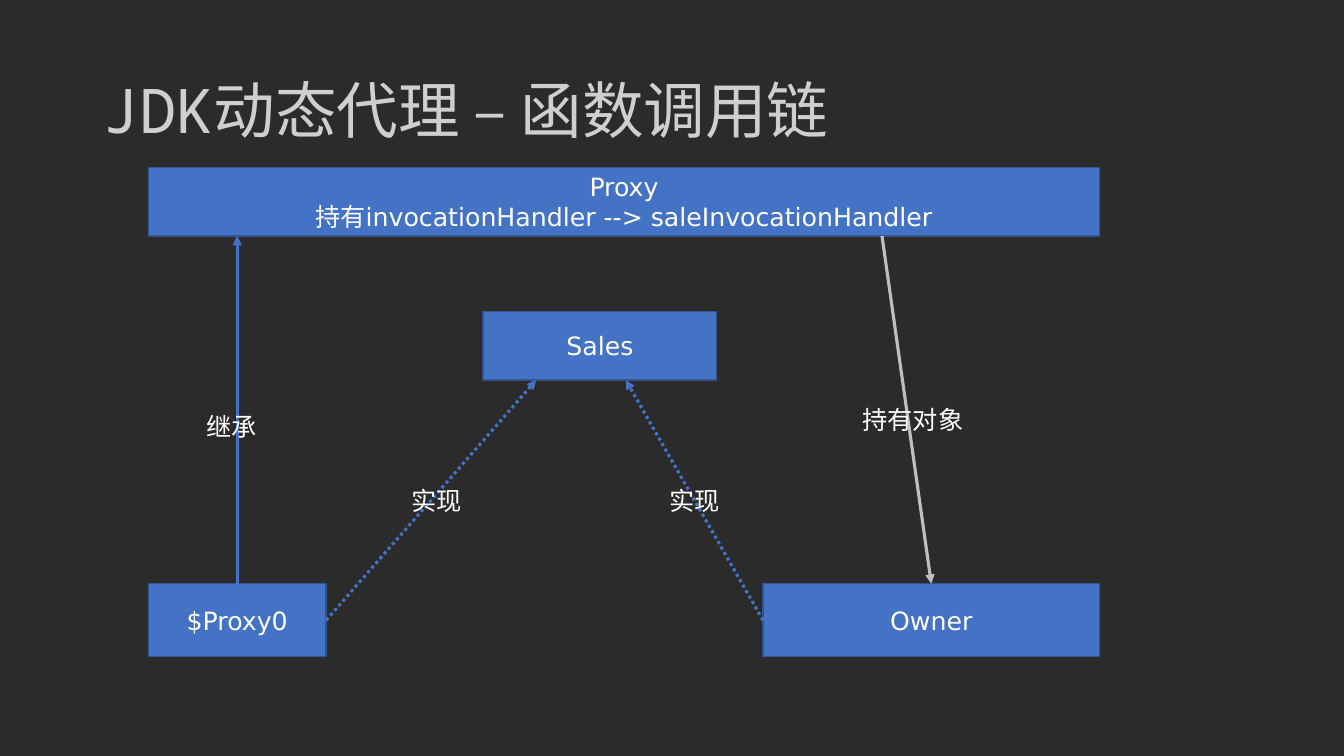
from pptx import Presentation
from pptx.dml.color import RGBColor
from pptx.enum import dml, shapes, text
from pptx.oxml.ns import qn
from pptx.util import Pt
from lxml import etree

DARK = RGBColor(0x2B, 0x2B, 0x2B)
BLUE = RGBColor(0x44, 0x72, 0xC4)
EDGE = RGBColor(0x32, 0x54, 0x91)
GRAY = RGBColor(0xBF, 0xBF, 0xBF)
PALE = RGBColor(0xD0, 0xCE, 0xCE)
WHITE = RGBColor(0xFF, 0xFF, 0xFF)
SANS, MONO = "DejaVu Sans", "Noto Sans Mono"

TITLE = "JDK动态代理 – 函数调用链"
BOXES = {
    "sub": (["$Proxy0"], 106, 417, 127, 52),
    "proxy": (["Proxy", "持有invocationHandler --> saleInvocationHandler"],
              106, 119.5, 679.5, 49),
    "sales": (["Sales"], 345, 222.5, 167, 49),
    "owner": (["Owner"], 545, 417, 240.5, 52),
}
TOP, LEFT, RIGHT = 0, 1, 3
ARROWS = [
    ("sub", TOP, None, (169.5, 168.5), BLUE, False),
    ("sub", RIGHT, None, (383, 271.5), BLUE, True),
    ("owner", LEFT, None, (447, 271.5), BLUE, True),
    ("owner", TOP, (630, 168.5), None, GRAY, False),
]
LABELS = [
    ("继承", 140.5, 290),
    ("持有对象", 609, 285),
    ("实现", 287, 343),
    ("实现", 471, 343),
]


def style(par, name, size, color):
    par.font.name = name
    par.font.size = Pt(size)
    par.font.color.rgb = color


def add_box(slide, lines, *area):
    box = slide.shapes.add_shape(shapes.MSO_SHAPE.RECTANGLE, *map(Pt, area))
    box.shadow.inherit = False
    box.fill.solid()
    box.fill.fore_color.rgb = BLUE
    box.line.color.rgb = EDGE
    box.line.width = Pt(1)
    frame = box.text_frame
    frame.word_wrap = True
    frame.vertical_anchor = text.MSO_ANCHOR.MIDDLE
    frame.text = "\n".join(lines)
    for par in frame.paragraphs:
        par.alignment = text.PP_ALIGN.CENTER
        style(par, SANS, 18, WHITE)
    return box


def add_arrow(slide, box, side, start, end, color, dotted):
    free = start or end
    line = slide.shapes.add_connector(
        shapes.MSO_CONNECTOR.STRAIGHT, *map(Pt, free + free))
    if start:
        line.end_connect(box, side)
    else:
        line.begin_connect(box, side)
    line.line.color.rgb = color
    line.line.width = Pt(2.25)
    if dotted:
        line.line.dash_style = dml.MSO_LINE.ROUND_DOT
    props = line._element.spPr
    etree.SubElement(props.find(qn("a:ln")), qn("a:tailEnd"), type="triangle")
    etree.SubElement(props, qn("a:effectLst"))


def add_label(slide, word, x, y):
    box = slide.shapes.add_textbox(Pt(x), Pt(y), Pt(18 * len(word) + 15), Pt(29))
    frame = box.text_frame
    frame.word_wrap = False
    frame.auto_size = text.MSO_AUTO_SIZE.SHAPE_TO_FIT_TEXT
    frame.text = word
    style(frame.paragraphs[0], SANS, 18, WHITE)


def main():
    deck = Presentation()
    deck.slide_width, deck.slide_height = Pt(960), Pt(540)
    slide = deck.slides.add_slide(deck.slide_layouts[5])
    slide.background.fill.solid()
    slide.background.fill.fore_color.rgb = DARK

    title = slide.shapes.title
    title.left, title.top, title.width, title.height = map(Pt, (66, 29, 828, 104))
    title.text_frame.text = TITLE
    title.text_frame.vertical_anchor = text.MSO_ANCHOR.MIDDLE
    head = title.text_frame.paragraphs[0]
    head.alignment = text.PP_ALIGN.LEFT
    head.line_spacing = 0.9
    style(head, MONO, 44, PALE)

    boxes = {key: add_box(slide, *spec) for key, spec in BOXES.items()}
    for key, *rest in ARROWS:
        add_arrow(slide, boxes[key], *rest)
    for label in LABELS:
        add_label(slide, *label)
    deck.save("out.pptx")


if __name__ == "__main__":
    main()
